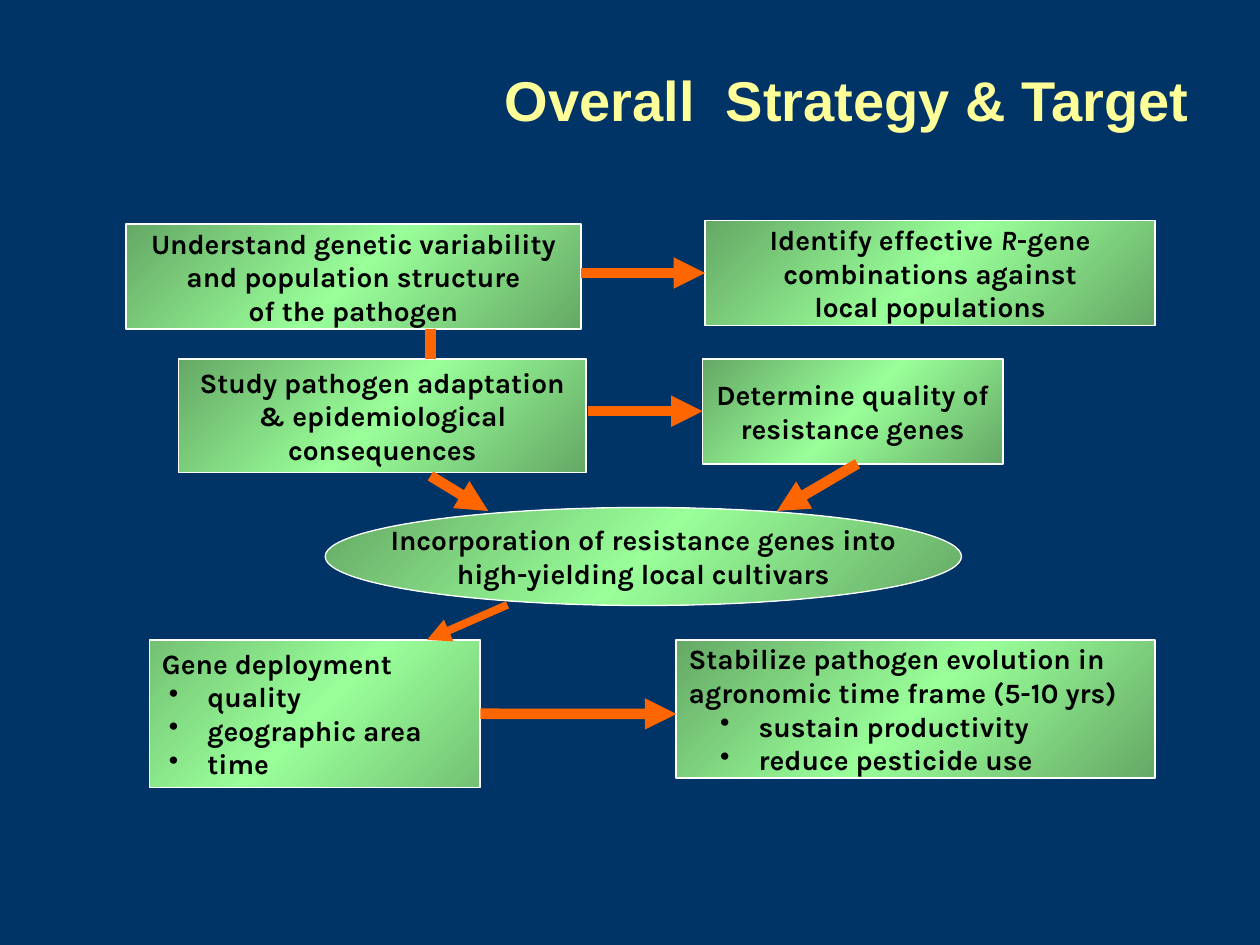
from copy import deepcopy
from dataclasses import dataclass

from lxml import etree
from pptx import Presentation
from pptx.dml.color import RGBColor
from pptx.enum.shapes import MSO_CONNECTOR, MSO_SHAPE
from pptx.enum.text import MSO_ANCHOR, MSO_AUTO_SIZE, PP_ALIGN
from pptx.oxml.ns import qn
from pptx.util import Pt

RECTANGLE, ELLIPSE = MSO_SHAPE.RECTANGLE, MSO_SHAPE.OVAL
STRAIGHT = MSO_CONNECTOR.STRAIGHT
LEFT, CENTER, RIGHT = PP_ALIGN.LEFT, PP_ALIGN.CENTER, PP_ALIGN.RIGHT
TOP, MIDDLE = MSO_ANCHOR.TOP, MSO_ANCHOR.MIDDLE
NO_AUTOFIT = MSO_AUTO_SIZE.NONE
LEFT_SIDE, RIGHT_SIDE = 1, 3


@dataclass(frozen=True)
class Theme:
    background: RGBColor = RGBColor.from_string("003366")
    title: RGBColor = RGBColor.from_string("FFFF99")
    text: RGBColor = RGBColor.from_string("000000")
    outline: RGBColor = RGBColor.from_string("FFFFFF")
    arrow: RGBColor = RGBColor.from_string("FF6600")
    glow: RGBColor = RGBColor.from_string("99FF99")
    edge: RGBColor = RGBColor.from_string("65A865")
    soft_edge: RGBColor = RGBColor.from_string("73C173")
    title_font: str = "Arial"
    body_font: str = "Karla"
    title_size: int = 32
    body_size: int = 16


THEME = Theme()


def add_span(para, text, font, size, color, italic=False):
    span = para.add_run()
    span.text = text
    span.font.name = font
    span.font.size = Pt(size)
    span.font.bold = True
    span.font.italic = italic
    span.font.color.rgb = color


def add_title(page, text):
    title = page.shapes.title
    title.left, title.top, title.width, title.height = Pt(279.4), Pt(33.8), Pt(407.5), Pt(46)
    frame = title.text_frame
    frame.word_wrap = False
    frame.auto_size = NO_AUTOFIT
    frame.vertical_anchor = TOP
    para = frame.paragraphs[0]
    para.alignment = RIGHT
    add_span(para, text, THEME.title_font, THEME.title_size, THEME.title)


def fill_gradient(shape, edge):
    shape.fill.gradient()
    shape.fill.gradient_angle = 315
    for stop in shape.fill.gradient_stops:
        stop.color.rgb = edge
    stops = shape._element.spPr.find(qn("a:gradFill")).find(qn("a:gsLst"))
    stops.insert(1, deepcopy(stops[0]))
    middle = shape.fill.gradient_stops[1]
    middle.position = 0.5
    middle.color.rgb = THEME.glow


def add_bullet(para, margin):
    properties = para._p.get_or_add_pPr()
    properties.set("marL", str(Pt(margin)))
    properties.set("indent", str(-Pt(22)))
    etree.SubElement(properties, qn("a:buChar"), char="•")


def add_box(page, place, lines, bullets=(), margin=0, kind=RECTANGLE,
            align=CENTER, anchor=MIDDLE, edge=THEME.edge, outline=1):
    box = page.shapes.add_shape(kind, *map(Pt, place))
    box.shadow.inherit = False
    fill_gradient(box, edge)
    box.line.color.rgb = THEME.outline
    box.line.width = Pt(outline)
    frame = box.text_frame
    frame.word_wrap = False
    frame.vertical_anchor = anchor
    for index, line in enumerate([*lines, *bullets]):
        para = frame.add_paragraph() if index else frame.paragraphs[0]
        para.alignment = align
        if index >= len(lines):
            add_bullet(para, margin)
        spans = [(line, False)] if isinstance(line, str) else line
        for text, italic in spans:
            add_span(para, text, THEME.body_font, THEME.body_size, THEME.text, italic)
    return box


def add_link(page, start, end, width=6, arrow=True):
    link = page.shapes.add_connector(STRAIGHT, *map(Pt, (*start, *end)))
    link.line.color.rgb = THEME.arrow
    link.line.width = Pt(width)
    if arrow:
        etree.SubElement(link.line._get_or_add_ln(), qn("a:tailEnd"), type="triangle")
    etree.SubElement(link._element.spPr, qn("a:effectLst"))
    return link


def main():
    deck = Presentation()
    deck.slide_width, deck.slide_height = Pt(720), Pt(540)
    page = deck.slides.add_slide(deck.slide_layouts[5])
    page.background.fill.solid()
    page.background.fill.fore_color.rgb = THEME.background
    add_title(page, "Overall  Strategy & Target")

    add_box(page, (72, 128, 260, 60),
            ["Understand genetic variability", "and population structure", "of the pathogen"])
    identify = add_box(page, (403, 126, 257, 60),
                       [[("Identify effective ", False), ("R", True), ("-gene", False)],
                        "combinations against", "local populations"])
    add_box(page, (102, 205, 233, 65),
            ["Study pathogen adaptation", "& epidemiological", "consequences"])
    determine = add_box(page, (401.5, 205, 171.5, 60),
                        ["Determine quality of", "resistance genes"])
    deployment = add_box(page, (85.5, 365.7, 189, 84.3), ["Gene deployment"],
                         ["quality", "geographic area", "time"], 26,
                         align=LEFT, anchor=TOP, edge=THEME.soft_edge)
    add_box(page, (386.5, 365.7, 273.5, 79),
            ["Stabilize pathogen evolution in", "agronomic time frame (5-10 yrs)"],
            ["sustain productivity", "reduce pesticide use"], 40, align=LEFT)

    add_link(page, (332, 156), (403, 156)).end_connect(identify, LEFT_SIDE)
    add_link(page, (336, 235), (401.5, 235)).end_connect(determine, LEFT_SIDE)
    add_link(page, (274.5, 408), (386.5, 408)).begin_connect(deployment, RIGHT_SIDE)
    add_link(page, (246, 188), (246, 205), arrow=False)
    add_link(page, (246, 272), (279, 292))
    add_link(page, (490, 265), (444, 292))

    add_box(page, (185.8, 290, 363.6, 56),
            ["Incorporation of resistance genes into", "high-yielding local cultivars"],
            kind=ELLIPSE, outline=0.75)
    add_link(page, (290, 345.6), (244, 365.7), width=4.5)

    deck.save("out.pptx")


if __name__ == "__main__":
    main()
